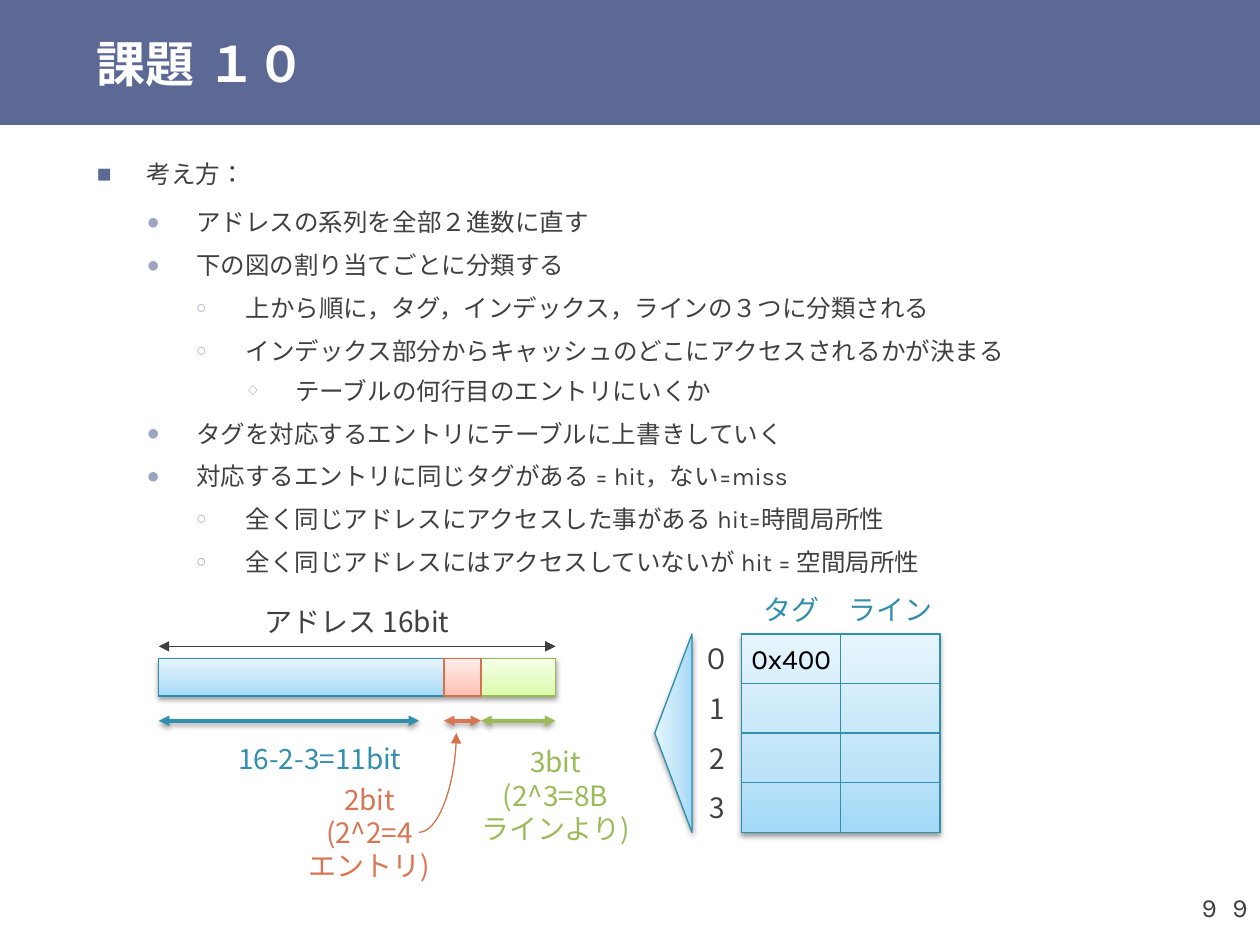
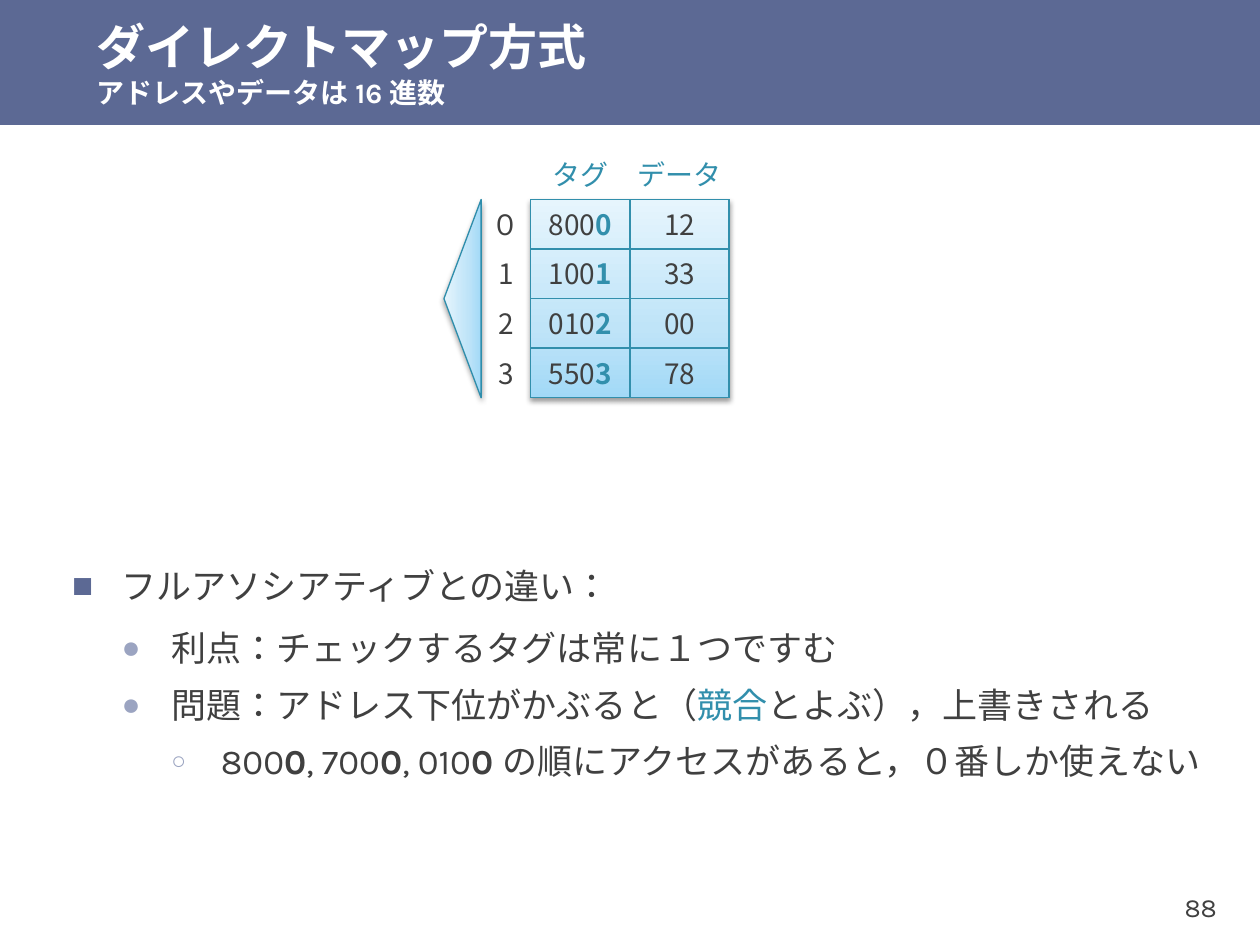
from lxml import etree
from pptx import Presentation, util as u
from pptx.dml.color import RGBColor
from pptx.enum import lang, shapes, text
from pptx.oxml import parse_xml
from pptx.oxml.ns import nsdecls, qn

COLORS = {
    "band": "5C6994", "sub_bullet": "9BA4C1", "white": "FFFFFF",
    "ink": "404040", "black": "000000",
    "teal": "328FAC", "teal_edge": "2E8DAB",
    "green": "9BBB59", "green_edge": "98B955",
    "orange": "D87552", "orange_edge": "D7714D",
}
GRADIENTS = {
    "teal": ("A2D9F7", "BFE4F8", "E6F5FD"),
    "green": ("DAFDA7", "E4FCC2", "F5FFE7"),
    "orange": ("FFBEB0", "FFD0C7", "FFEDEA"),
}
LATIN, JAPANESE = "Karla", "Noto Sans CJK JP"
# bullet, colour, size in percent, line spacing, space before, space after
LEVELS = [
    ("■", "band", 100, 1.1, 24, 6),
    ("●", "sub_bullet", 90, 1.1, 3, 3),
    ("○", "sub_bullet", 70, 1.1, 3, 3),
    ("◇", "sub_bullet", 60, 1.0, 3, 3),
]
CELL_W, CELL_H = 2, 1


def rgb(name):
    return RGBColor.from_string(COLORS[name])


def write(paragraph, parts, size, color="ink", font=JAPANESE, bold=None):
    """Fill a paragraph with a string, or with (text, bold, colour, size) parts."""
    paragraph.font.size = u.Pt(size)
    paragraph.font.name = font
    paragraph.font.bold = bold
    paragraph.font.color.rgb = rgb(color)
    paragraph.font.language_id = lang.MSO_LANGUAGE_ID.JAPANESE
    defaults = paragraph._p.pPr.find(qn("a:defRPr"))
    etree.SubElement(defaults, qn("a:ea")).set("typeface", font)
    if isinstance(parts, str):
        paragraph.text = parts
    else:
        for words, run_bold, run_color, run_size in parts:
            if words == "\v":
                paragraph.add_line_break()
                continue
            run = paragraph.add_run()
            run.text = words
            if run_bold:
                run.font.bold = True
            if run_color:
                run.font.color.rgb = rgb(run_color)
            if run_size:
                run.font.size = u.Pt(run_size)
    for run in paragraph.runs:
        run.font.language_id = lang.MSO_LANGUAGE_ID.JAPANESE


def place(shape, left, top, width, height):
    shape.left, shape.top = u.Cm(left), u.Cm(top)
    shape.width, shape.height = u.Cm(width), u.Cm(height)


def add_shadow(shape):
    properties = shape._element.spPr
    for effects in properties.findall(qn("a:effectLst")):
        properties.remove(effects)
    properties.append(parse_xml(
        f'<a:effectLst {nsdecls("a")}><a:outerShdw blurRad="39370" dist="20320" '
        'dir="5400000" rotWithShape="0"><a:srgbClr val="000000">'
        '<a:alpha val="38000"/></a:srgbClr></a:outerShdw></a:effectLst>'))


def add_box(slide, left, top, width, height, edge=None, gradient=None,
            shadow=False, kind=shapes.MSO_SHAPE.RECTANGLE):
    box = slide.shapes.add_shape(
        kind, u.Cm(left), u.Cm(top), u.Cm(width), u.Cm(height))
    box.shadow.inherit = False
    box.fill.background()
    if gradient:
        stops = "".join(
            f'<a:gs pos="{pos}"><a:srgbClr val="{color}"/></a:gs>'
            for pos, color in zip((0, 35000, 100000), GRADIENTS[gradient]))
        empty = box._element.spPr.find(qn("a:noFill"))
        empty.getparent().replace(empty, parse_xml(
            f'<a:gradFill {nsdecls("a")} rotWithShape="1"><a:gsLst>{stops}'
            '</a:gsLst><a:lin ang="16200000" scaled="0"/></a:gradFill>'))
    if edge:
        box.line.color.rgb = rgb(edge)
        box.line.width = u.Pt(0.75)
    else:
        box.line.fill.background()
    if shadow:
        add_shadow(box)
    return box


def center_text(shape, lines, color="ink", font=JAPANESE):
    frame = shape.text_frame
    frame.word_wrap = False
    frame.margin_left = frame.margin_right = 0
    frame.vertical_anchor = text.MSO_ANCHOR.MIDDLE
    for number, line in enumerate(lines):
        paragraph = frame.add_paragraph() if number else frame.paragraphs[0]
        paragraph.alignment = text.PP_ALIGN.CENTER
        if len(lines) > 1:
            paragraph.line_spacing = u.Pt(19)
        write(paragraph, line, 16, color, font)


def add_label(slide, left, top, lines, color="ink", width=CELL_W):
    label = slide.shapes.add_textbox(
        u.Cm(left), u.Cm(top), u.Cm(width), u.Cm(CELL_H))
    center_text(label, lines, color)


def add_arrow(slide, start, end, color, width=0.75, both=True, curved=False):
    """Draw an arrow; wide ones cast a shadow."""
    kind = shapes.MSO_CONNECTOR.CURVE if curved else shapes.MSO_CONNECTOR.STRAIGHT
    arrow = slide.shapes.add_connector(kind, *map(u.Cm, start + end))
    arrow.line.color.rgb = rgb(color)
    arrow.line.width = u.Pt(width)
    properties = arrow._element.spPr
    if curved:
        properties.find(qn("a:prstGeom")).set("prst", "curvedConnector2")
    line = properties.find(qn("a:ln"))
    for tag in ("a:headEnd", "a:tailEnd") if both else ("a:tailEnd",):
        etree.SubElement(line, qn(tag)).set("type", "triangle")
    if width > 1:
        add_shadow(arrow)
    else:
        etree.SubElement(properties, qn("a:effectLst"))


def prepare_layout(layout, slide):
    """Give the layout its title band and title position."""
    band = add_box(slide, 0, 0, 25.4, 2.52)
    band.fill.solid()
    band.fill.fore_color.rgb = rgb("band")
    layout.shapes._spTree.insert(2, band._element)
    place(layout.placeholders[0], 1.7, 0, 23.7, 2.52)


def add_title(slide, parts):
    frame = slide.shapes.title.text_frame
    frame.auto_size = text.MSO_AUTO_SIZE.NONE
    frame.vertical_anchor = text.MSO_ANCHOR.MIDDLE
    frame.margin_top = frame.margin_bottom = 0
    frame.paragraphs[0].alignment = text.PP_ALIGN.LEFT
    write(frame.paragraphs[0], parts, 28, "white", LATIN, True)


def add_page_number(slide, number, left=22.78):
    box = slide.shapes.add_textbox(u.Cm(left), u.Cm(17.53), u.Cm(2), u.Cm(1.52))
    frame = box.text_frame
    frame.word_wrap = False
    frame.vertical_anchor = text.MSO_ANCHOR.MIDDLE
    frame.paragraphs[0].alignment = text.PP_ALIGN.RIGHT
    write(frame.paragraphs[0], number, 15, font=LATIN)


def add_outline(slide, box, items, size, anchor):
    body = slide.placeholders[1]
    place(body, *box)
    frame = body.text_frame
    frame.auto_size = text.MSO_AUTO_SIZE.NONE
    frame.vertical_anchor = anchor
    for number, (level, parts) in enumerate(items):
        paragraph = frame.add_paragraph() if number else frame.paragraphs[0]
        bullet, color, percent, spacing, before, after = LEVELS[level]
        paragraph.level = level
        paragraph.line_spacing = spacing
        paragraph.space_before = u.Pt(before if number else 0)
        paragraph.space_after = u.Pt(after)
        properties = paragraph._p.get_or_add_pPr()
        properties.set("marL", str(u.Cm(level + 1)))
        properties.set("indent", str(-u.Cm(1)))
        bullet_color = etree.SubElement(properties, qn("a:buClr"))
        etree.SubElement(bullet_color, qn("a:srgbClr")).set("val", COLORS[color])
        etree.SubElement(properties, qn("a:buSzPct")).set("val", str(percent * 1000))
        etree.SubElement(properties, qn("a:buChar")).set("char", bullet)
        write(paragraph, parts, size, font=LATIN)


def add_cache(slide, left, top, headings, rows, color="ink", font=JAPANESE):
    """Draw a cache memory: decoder, row numbers, headings and cells."""
    width, height = CELL_W * len(headings), CELL_H * len(rows)
    add_box(slide, left, top, width, height, "teal_edge", "teal", True)
    for column, heading in enumerate(headings):
        add_label(slide, left + column * CELL_W, top - CELL_H, [heading], "teal")
    for row, cells in enumerate(rows):
        cell_top = top + row * CELL_H
        add_label(slide, left - 1, cell_top, ["０123"[row]], width=1)
        for column, value in enumerate(cells):
            cell = add_box(slide, left + column * CELL_W, cell_top,
                           CELL_W, CELL_H, "teal")
            if value:
                center_text(cell, [value], color, font)
    # The triangle is turned to the left, so its width runs down the rows.
    depth = 0.75
    decoder = add_box(slide, left - 1 - depth / 2 - height / 2,
                      top + height / 2 - depth / 2, height, depth, "teal_edge",
                      "teal", True, shapes.MSO_SHAPE.ISOSCELES_TRIANGLE)
    decoder.rotation = 270


def add_address(slide, left, top):
    """Draw the 16-bit address split into tag, index and line fields."""
    def at(x, y):
        return left + x, top + y

    add_box(slide, left, top, 8, 0.75, "teal_edge", "teal", True)
    add_box(slide, *at(6.5, 0), 1.5, 0.75, "green_edge", "green")
    add_box(slide, *at(5.75, 0), 0.75, 0.75, "orange_edge", "orange")
    add_arrow(slide, at(0, -0.25), at(8, -0.25), "ink")
    for start, end, color in ((0, 5.25, "teal"), (6.5, 8, "green"),
                              (5.75, 6.5, "orange")):
        add_arrow(slide, at(start, 1.25), at(end, 1.25), color, 2)
    for center, y, width, lines, color in (
            (4, -1.25, 5, ["アドレス 16bit"], "ink"),
            (3.25, 1.5, 4.5, ["16-2-3=11bit"], "teal"),
            (8, 2.25, 4, ["3bit", "(2^3=8B", "ラインより)"], "green"),
            (4.25, 3, 3.5, ["2bit", "(2^2=4\vエントリ)"], "orange")):
        add_label(slide, *at(center - width / 2, y), lines, color, width)
    add_arrow(slide, at(5.25, 3.5), at(6, 1.5), "orange_edge",
              both=False, curved=True)


def build_exercise(slide):
    add_title(slide, "課題 １０")
    add_outline(slide, (1.7, 3.02, 21.74, 14.5), [
        (0, "考え方："),
        (1, "アドレスの系列を全部２進数に直す"),
        (1, "下の図の割り当てごとに分類する"),
        (2, "上から順に，タグ，インデックス，ラインの３つに分類される"),
        (2, "インデックス部分からキャッシュのどこにアクセスされるかが決まる"),
        (3, "テーブルの何行目のエントリにいくか"),
        (1, "タグを対応するエントリにテーブルに上書きしていく"),
        (1, "対応するエントリに同じタグがある = hit，ない=miss"),
        (2, "全く同じアドレスにアクセスした事がある hit=時間局所性"),
        (2, "全く同じアドレスにはアクセスしていないが hit = 空間局所性"),
    ], 14, text.MSO_ANCHOR.TOP)
    add_page_number(slide, "9")
    add_page_number(slide, "9", 23.4)
    add_cache(slide, 14.95, 12.78, ("タグ", "ライン"),
              [("0x400", "")] + [("", "")] * 3, "black", LATIN)
    add_address(slide, 3.2, 13.28)


def build_direct_map(slide):
    add_title(slide, [("ダイレクトマップ方式", None, None, None),
                      ("\v", None, None, None),
                      ("アドレスやデータは 16 進数", None, None, 16)])
    accesses = [(words, words.strip() == "0", None, None) for words in
                ("800", "0", ", 700", "0", ", 010", "0 ",
                 "の順にアクセスがあると，０番しか使えない")]
    add_outline(slide, (1.2, 9.78, 23.5, 7.5), [
        (0, "フルアソシアティブとの違い："),
        (1, "利点：チェックするタグは常に１つですむ"),
        (1, [("問題：アドレス下位がかぶると（", None, None, None),
             ("競合", None, "teal", None),
             ("とよぶ），上書きされる", None, None, None)]),
        (2, accesses),
    ], 20, text.MSO_ANCHOR.MIDDLE)
    add_page_number(slide, "88")
    entries = (("8000", "12"), ("1001", "33"), ("0102", "00"), ("5503", "78"))
    rows = [([(tag[:-1], None, None, None), (tag[-1], True, "teal", None)], data)
            for tag, data in entries]
    add_cache(slide, 10.7, 4.02, ("タグ", "データ"), rows)


def main():
    deck = Presentation()
    deck.slide_width, deck.slide_height = u.Cm(25.4), u.Cm(19.05)
    layout = deck.slide_layouts[1]
    exercise, direct_map = (deck.slides.add_slide(layout) for _ in range(2))
    prepare_layout(layout, exercise)
    build_exercise(exercise)
    build_direct_map(direct_map)
    deck.save("out.pptx")


if __name__ == "__main__":
    main()
